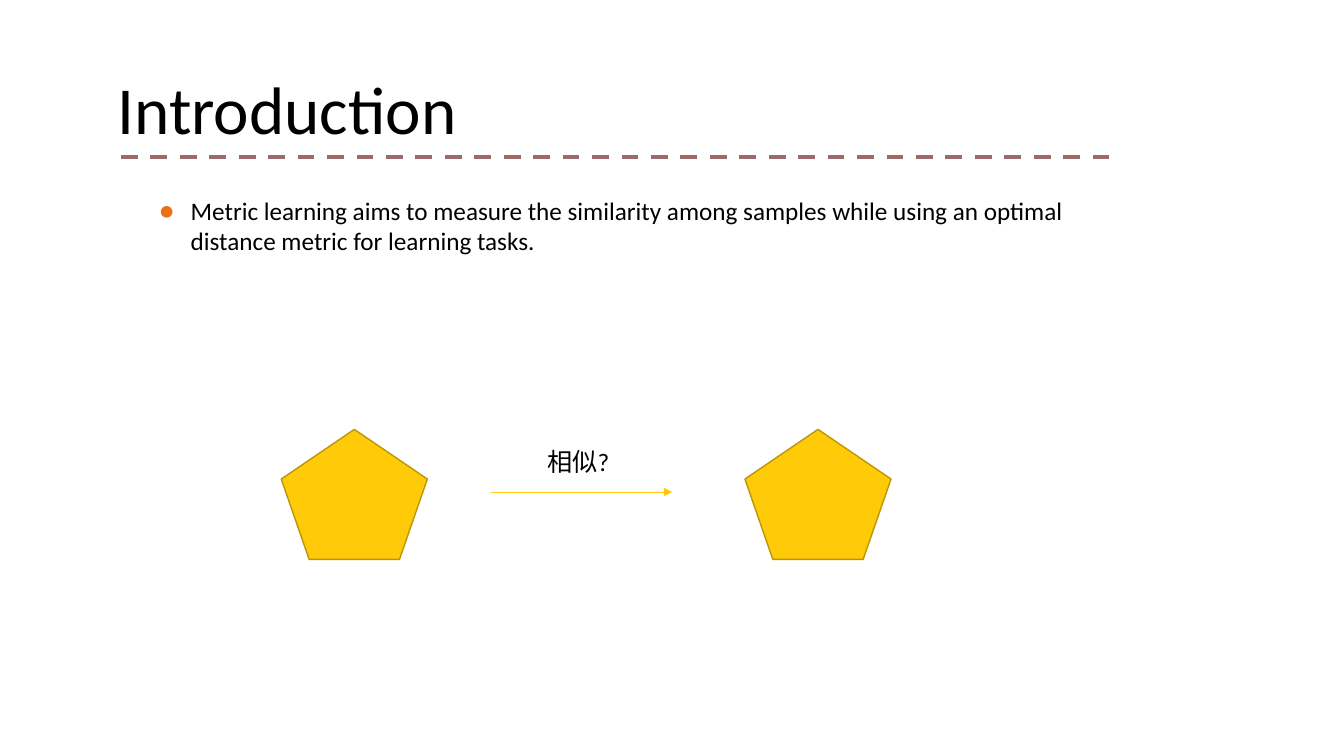
from lxml.etree import SubElement
from pptx import Presentation
from pptx.dml.color import RGBColor
from pptx.enum.dml import MSO_LINE
from pptx.enum.shapes import MSO_CONNECTOR as Link, MSO_SHAPE as Preset
from pptx.oxml.ns import qn
from pptx.util import Pt

BLACK = RGBColor(0x00, 0x00, 0x00)
MAROON = RGBColor(0x9C, 0x6A, 0x6A)
ORANGE = RGBColor(0xEC, 0x70, 0x16)
GOLD = RGBColor(0xFF, 0xCA, 0x08)
DARK_GOLD = RGBColor(0xBD, 0x95, 0x06)


def add_text(slide, text, left, top, width, height, size=18, color=BLACK, bullet=None):
    """Place one paragraph of text, bulleted when a bullet colour is given."""
    frame = slide.shapes.add_textbox(Pt(left), Pt(top), Pt(width), Pt(height)).text_frame
    frame.word_wrap = True
    paragraph = frame.paragraphs[0]
    if bullet is not None:
        props = paragraph._p.get_or_add_pPr()
        props.set("marL", str(Pt(22.5)))
        props.set("indent", str(Pt(-22.5)))
        SubElement(SubElement(props, qn("a:buClr")), qn("a:srgbClr"), val=str(bullet))
        SubElement(props, qn("a:buFont"), typeface="Calibri")
        SubElement(props, qn("a:buChar"), char="●")
    run = paragraph.add_run()
    run.text = text
    run.font.name = "Calibri"
    run.font.size = Pt(size)
    run.font.color.rgb = color


def add_rule(slide, left, right, y, color, weight):
    """Draw a horizontal line without a shadow and return it."""
    rule = slide.shapes.add_connector(Link.STRAIGHT, Pt(left), Pt(y), Pt(right), Pt(y))
    rule.line.color.rgb = color
    rule.line.width = Pt(weight)
    SubElement(rule._element.spPr, qn("a:effectLst"))
    return rule


def add_heading(slide, left, top, width, height):
    """Place the title with the dashed rule below it."""
    add_text(slide, "Introduction", left, top, 380, height, size=48)
    rule_left = left + 9.4
    rule = add_rule(slide, rule_left, rule_left + width, top + 67.7, MAROON, 3)
    rule.line.dash_style = MSO_LINE.DASH


def add_sample(slide, left, top, width, height):
    """Draw one pentagon that stands for a sample."""
    sample = slide.shapes.add_shape(Preset.REGULAR_PENTAGON, Pt(left), Pt(top), Pt(width), Pt(height))
    sample.shadow.inherit = False
    sample.fill.solid()
    sample.fill.fore_color.rgb = GOLD
    sample.line.color.rgb = DARK_GOLD
    sample.line.width = Pt(1)


def add_comparison(slide, left, top, width, height):
    """Draw two samples at the ends of the box and the arrow between them."""
    sample_width = 104.4
    for sample_left in (left, left + width - sample_width):
        add_sample(slide, sample_left, top, sample_width, height)
    arrow_left = left + 149.7
    arrow = add_rule(slide, arrow_left, arrow_left + 129.6, top + 44.7, GOLD, 0.5)
    SubElement(arrow.line._get_or_add_ln(), qn("a:tailEnd"), type="triangle")
    add_text(slide, "相似?", left + 182.9, top + 8.7, 117.4, 29)


def build_introduction(prs):
    """Build the introduction slide."""
    slide = prs.slides.add_slide(prs.slide_layouts[6])
    add_heading(slide, 77, 44.6, 712.8, 65.5)
    add_text(
        slide,
        "Metric learning aims to measure the similarity among samples "
        "while using an optimal distance metric for learning tasks.",
        106.6, 136.1, 672.5, 51, bullet=ORANGE,
    )
    add_comparison(slide, 200.9, 306.7, 435.6, 92.9)


def main():
    """Create and save the presentation."""
    prs = Presentation()
    prs.slide_width, prs.slide_height = Pt(960), Pt(540)
    build_introduction(prs)
    prs.save("out.pptx")


if __name__ == "__main__":
    main()
